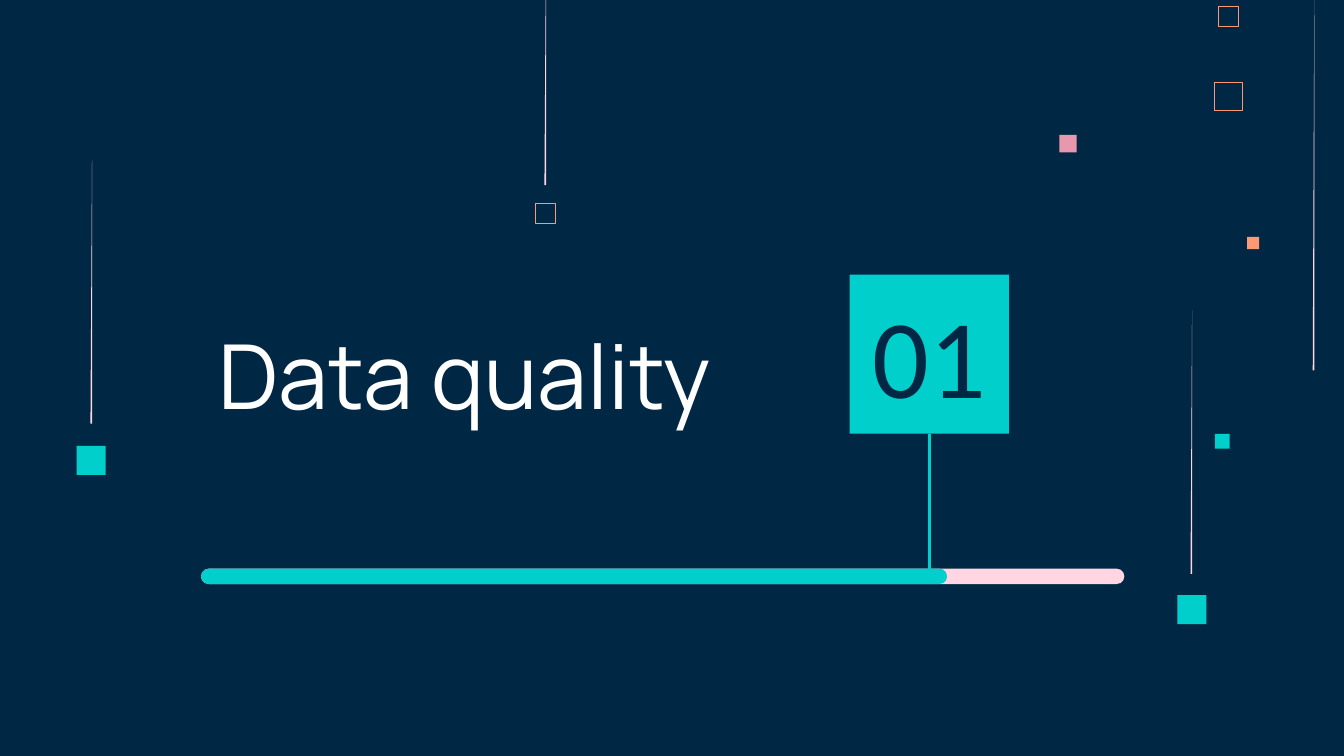
from typing import NamedTuple, Optional

from lxml import etree
from pptx import Presentation
from pptx.dml.color import RGBColor
from pptx.enum.shapes import MSO_CONNECTOR, MSO_SHAPE
from pptx.enum.text import MSO_ANCHOR, MSO_AUTO_SIZE, PP_ALIGN
from pptx.oxml.ns import qn
from pptx.util import Cm, Pt

RECT, ROUNDED = MSO_SHAPE.RECTANGLE, MSO_SHAPE.ROUNDED_RECTANGLE
STRAIGHT = MSO_CONNECTOR.STRAIGHT
MIDDLE, BOTTOM = MSO_ANCHOR.MIDDLE, MSO_ANCHOR.BOTTOM
CENTER, NO_FIT = PP_ALIGN.CENTER, MSO_AUTO_SIZE.NONE
TITLE_ONLY = 5

NAVY, TEAL, ORANGE = "002845", "00CFCC", "FF9973"
PINK, ROSE, WHITE = "FFD6E1", "E898AC", "FFFFFF"


class Square(NamedTuple):
    left: float
    top: float
    size: float
    fill: Optional[str] = None
    line_pt: float = 0


class Streak(NamedTuple):
    left: float
    top: float
    height: float
    width: float = 0.03


SQUARES = [
    Square(20.02, 2.55, 0.33, ROSE),
    Square(22.96, 8.2, 0.28, TEAL),
    Square(22.95, 1.55, 0.53, line_pt=0.45),
    Square(23.03, 0.12, 0.38, line_pt=0.32),
    Square(23.57, 4.48, 0.23, ORANGE),
    Square(10.12, 3.84, 0.38, line_pt=0.32),
    Square(22.25, 11.25, 0.55, TEAL),
    Square(1.45, 8.43, 0.55, TEAL),
]
STREAKS = [
    Streak(10.29, -1.22, 4.72),
    Streak(24.81, 0, 7),
    Streak(22.5, 5.87, 4.98),
    Streak(1.71, 3.03, 4.98),
]


def rgb(color: str) -> RGBColor:
    return RGBColor.from_string(color)


def paint(sp, fill: Optional[str], line_pt: float = 0) -> None:
    """Fill a shape, or outline it in orange when it has no fill."""
    sp.shadow.inherit = False
    if fill:
        sp.fill.solid()
        sp.fill.fore_color.rgb = rgb(fill)
    else:
        sp.fill.background()
    if line_pt:
        sp.line.color.rgb = rgb(ORANGE)
        sp.line.width = Pt(line_pt)
    else:
        sp.line.fill.background()


def add_block(s, kind, left: float, top: float, width: float, height: float,
              fill: Optional[str], line_pt: float = 0):
    sp = s.shapes.add_shape(kind, Cm(left), Cm(top), Cm(width), Cm(height))
    paint(sp, fill, line_pt)
    return sp


def add_streak(s, streak: Streak) -> None:
    """Draw a sliver that tapers to a point at the top."""
    left, right = Cm(streak.left), Cm(streak.left + streak.width)
    top, bottom = Cm(streak.top), Cm(streak.top + streak.height)
    builder = s.shapes.build_freeform(right, top)
    builder.add_line_segments([(left, bottom), (right, bottom)], close=True)
    paint(builder.convert_to_shape(), PINK)


def write(sp, text: str, font: str, size: float, color: str, anchor) -> None:
    tf = sp.text_frame
    frame = {"word_wrap": True, "auto_size": NO_FIT, "vertical_anchor": anchor}
    for side in ("left", "right", "top", "bottom"):
        frame[f"margin_{side}"] = Cm(0.25)
    for name, value in frame.items():
        setattr(tf, name, value)
    p = tf.paragraphs[0]
    p.alignment = CENTER
    r = p.add_run()
    r.text = text
    for name, value in {"name": font, "size": Pt(size), "bold": False}.items():
        setattr(r.font, name, value)
    r.font.color.rgb = rgb(color)


def main() -> None:
    prs = Presentation()
    prs.slide_width, prs.slide_height = Cm(25.4), Cm(14.29)
    s = prs.slides.add_slide(prs.slide_layouts[TITLE_ONLY])
    s.background.fill.solid()
    s.background.fill.fore_color.rgb = rgb(NAVY)

    # Scattered squares and falling streaks
    for sq in SQUARES:
        add_block(s, RECT, sq.left, sq.top, sq.size, sq.size, sq.fill, sq.line_pt)
    for streak in STREAKS:
        add_streak(s, streak)

    # Section title
    title = s.shapes.title
    place = {"left": 3.2, "top": 5.99, "width": 11.51, "height": 2.34}
    for name, value in place.items():
        setattr(title, name, Cm(value))
    write(title, "Data quality ", "Manrope", 48, WHITE, BOTTOM)

    # Section number
    number = add_block(s, RECT, 16.06, 5.19, 3.01, 3.01, TEAL)
    write(number, "01", "Calibri", 60, NAVY, MIDDLE)

    # Progress bar: full track, then the part done
    for width, color in ((17.45, PINK), (14.1, TEAL)):
        bar = add_block(s, ROUNDED, 3.8, 10.75, width, 0.29, color)
        bar.adjustments[0] = 0.5

    # Stem from the number to the bar
    stem = s.shapes.add_connector(STRAIGHT, Cm(17.57), Cm(8.2), Cm(17.57), Cm(10.92))
    stem.line.color.rgb = rgb(TEAL)
    stem.line.width = Pt(1.5)
    etree.SubElement(stem._element.spPr, qn("a:effectLst"))

    prs.save("out.pptx")


if __name__ == "__main__":
    main()
